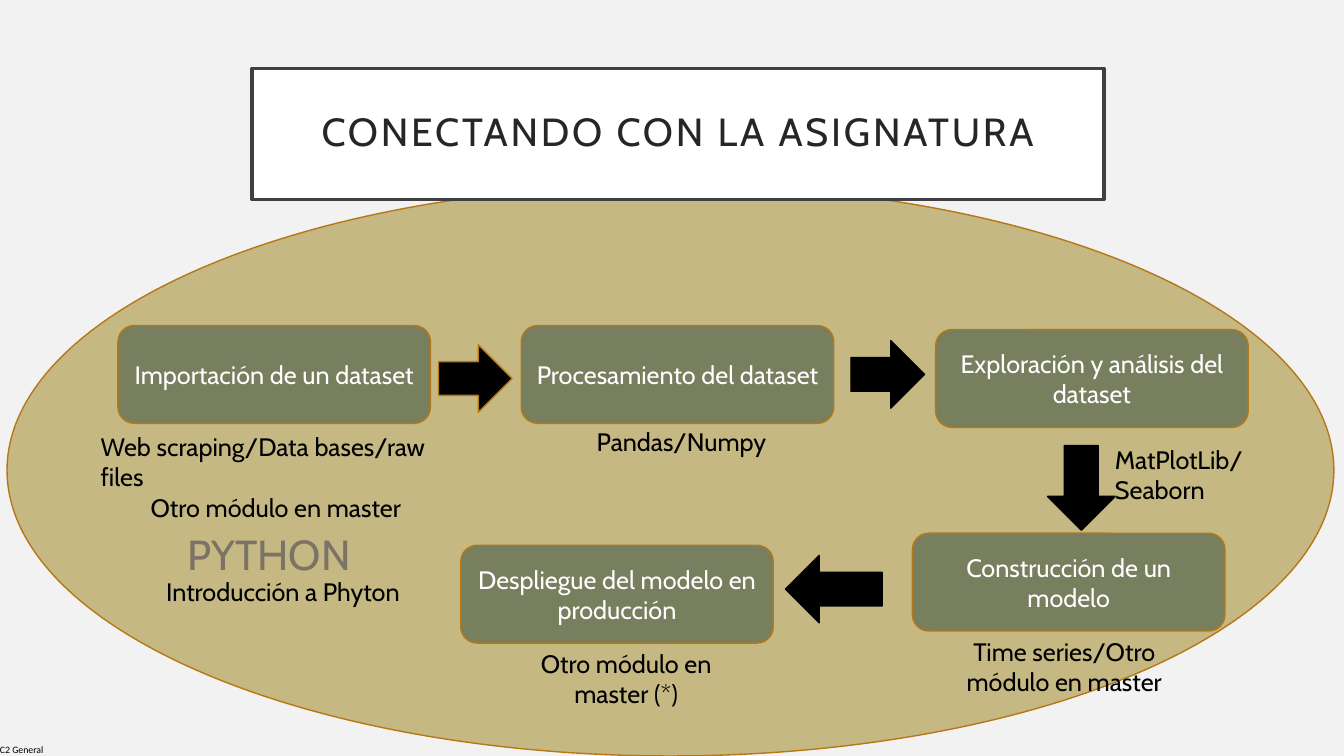
from pptx import Presentation
from pptx.dml.color import RGBColor
from pptx.enum.shapes import MSO_SHAPE
from pptx.enum.text import MSO_ANCHOR, MSO_AUTO_SIZE, PP_ALIGN
from pptx.util import Inches, Pt

PAPER = RGBColor(0xF2, 0xF2, 0xF2)
SAND = RGBColor(0xC5, 0xB8, 0x83)
OLIVE = RGBColor(0x77, 0x7F, 0x5E)
OCHRE = RGBColor(0xB6, 0x78, 0x15)
TAUPE = RGBColor(0x7B, 0x73, 0x66)
FRAME = RGBColor(0x40, 0x40, 0x40)
INK = RGBColor(0x26, 0x26, 0x26)
WHITE = RGBColor(0xFF, 0xFF, 0xFF)
BLACK = RGBColor(0x00, 0x00, 0x00)

LEFT, CENTER = PP_ALIGN.LEFT, PP_ALIGN.CENTER

TITLE = "CONECTANDO CON LA ASIGNATURA"
TITLE_BOX = (2.5, 0.68, 8.45, 1.3)
ELLIPSE_BOX = (0.07, 1.83, 13.16, 5.67)

STEP_SIZE = (3.1, 0.97)
STEPS = [  # text, left, top
    ("Importación de un dataset", 1.17, 3.23),
    ("Procesamiento del dataset", 5.17, 3.23),
    ("Exploración y análisis del dataset", 9.28, 3.27),
    ("Construcción de un modelo", 9.05, 5.29),
    ("Despliegue del modelo en producción", 4.57, 5.41),
]

ARROWS = [  # shape, box, line colour
    (MSO_SHAPE.RIGHT_ARROW, (4.35, 3.42, 0.73, 0.67), OCHRE),
    (MSO_SHAPE.RIGHT_ARROW, (8.44, 3.38, 0.73, 0.67), BLACK),
    (MSO_SHAPE.DOWN_ARROW, (10.39, 4.42, 0.67, 0.84), BLACK),
    (MSO_SHAPE.LEFT_ARROW, (7.79, 5.51, 0.96, 0.67), BLACK),
]

BODY = {"name": "Cabin", "size": Pt(18), "color": BLACK}
STEP_FONT = {**BODY, "color": WHITE}
TITLE_FONT = {"name": "Cabin", "size": Pt(28), "color": INK}
PYTHON_FONT = {"name": "Cabin", "size": Pt(30), "color": TAUPE}
LABEL_FONT = {"name": "Calibri", "size": Pt(7), "color": BLACK}

NOTES = [  # box, font, paragraphs as (text, alignment)
    ((1.76, 5.19, 1.91, 0.61), PYTHON_FONT, [("PYTHON", LEFT)]),
    ((0.9, 4.23, 3.67, 0.71), BODY, [("Web scraping/Data bases/raw files", LEFT),
                                     ("Otro módulo en master", CENTER)]),
    ((5.82, 4.18, 2.05, 0.4), BODY, [("Pandas/Numpy", LEFT)]),
    ((10.96, 4.36, 2.21, 0.4), BODY, [("MatPlotLib/Seaborn", LEFT)]),
    ((9.4, 6.26, 2.31, 0.71), BODY, [("Time series/Otro módulo en master", CENTER)]),
    ((5.17, 6.38, 2.08, 0.71), BODY, [("Otro módulo en master (*)", CENTER)]),
    ((1.55, 5.67, 2.96, 0.4), BODY, [("Introducción a Phyton", LEFT)]),
]
LABEL = ((0, 7.38, 0.5, 0.12), LABEL_FONT, [("C2 General", LEFT)])


def inches(box):
    return [Inches(v) for v in box]


def write(sp, paragraphs, font, anchor=MSO_ANCHOR.TOP, inset=None):
    tf = sp.text_frame
    frame = {"word_wrap": True, "auto_size": MSO_AUTO_SIZE.NONE, "vertical_anchor": anchor}
    if inset is not None:
        sides = ("left", "top", "right", "bottom")
        frame.update({f"margin_{side}": Inches(inset) for side in sides})
    for key, value in frame.items():
        setattr(tf, key, value)
    for i, (text, align) in enumerate(paragraphs):
        p = tf.add_paragraph() if i else tf.paragraphs[0]
        p.alignment = align
        r = p.add_run()
        r.text = text
        for key, value in font.items():
            if key == "color":
                r.font.color.rgb = value
            else:
                setattr(r.font, key, value)


def paint(sp, fill, line, width=1):
    sp.fill.solid()
    sp.fill.fore_color.rgb = fill
    sp.line.color.rgb = line
    sp.line.width = Pt(width)


def add_shape(s, kind, box, fill, line):
    sp = s.shapes.add_shape(kind, *inches(box))
    sp.shadow.inherit = False
    paint(sp, fill, line)
    return sp


def add_note(s, box, font, paragraphs, inset=None):
    write(s.shapes.add_textbox(*inches(box)), paragraphs, font, inset=inset)


def add_title(s, below):
    """Format the title and stack it directly above the shape given."""
    title = s.shapes.title
    title.left, title.top, title.width, title.height = inches(TITLE_BOX)
    paint(title, WHITE, FRAME, 2.5)
    write(title, [(TITLE, CENTER)], TITLE_FONT, MSO_ANCHOR.MIDDLE, inset=0.2)
    p = title.text_frame.paragraphs[0]
    p.line_spacing = 0.9
    p.runs[0].font.element.set("spc", "200") if hasattr(p.runs[0].font, "element") \
        else p.runs[0].font._element.set("spc", "200")
    below.element.addnext(title.element)


def main():
    prs = Presentation()
    prs.slide_width, prs.slide_height = Inches(13.33), Inches(7.5)
    s = prs.slides.add_slide(prs.slide_layouts[5])
    s.background.fill.solid()
    s.background.fill.fore_color.rgb = PAPER

    add_note(s, *LABEL, inset=0)
    ellipse = add_shape(s, MSO_SHAPE.OVAL, ELLIPSE_BOX, SAND, OCHRE)
    add_title(s, ellipse)
    for text, left, top in STEPS:
        step = add_shape(s, MSO_SHAPE.ROUNDED_RECTANGLE, (left, top, *STEP_SIZE), OLIVE, OCHRE)
        write(step, [(text, CENTER)], STEP_FONT, MSO_ANCHOR.MIDDLE)
    for kind, box, line in ARROWS:
        add_shape(s, kind, box, BLACK, line)
    for note in NOTES:
        add_note(s, *note)
    prs.save("out.pptx")


if __name__ == "__main__":
    main()
